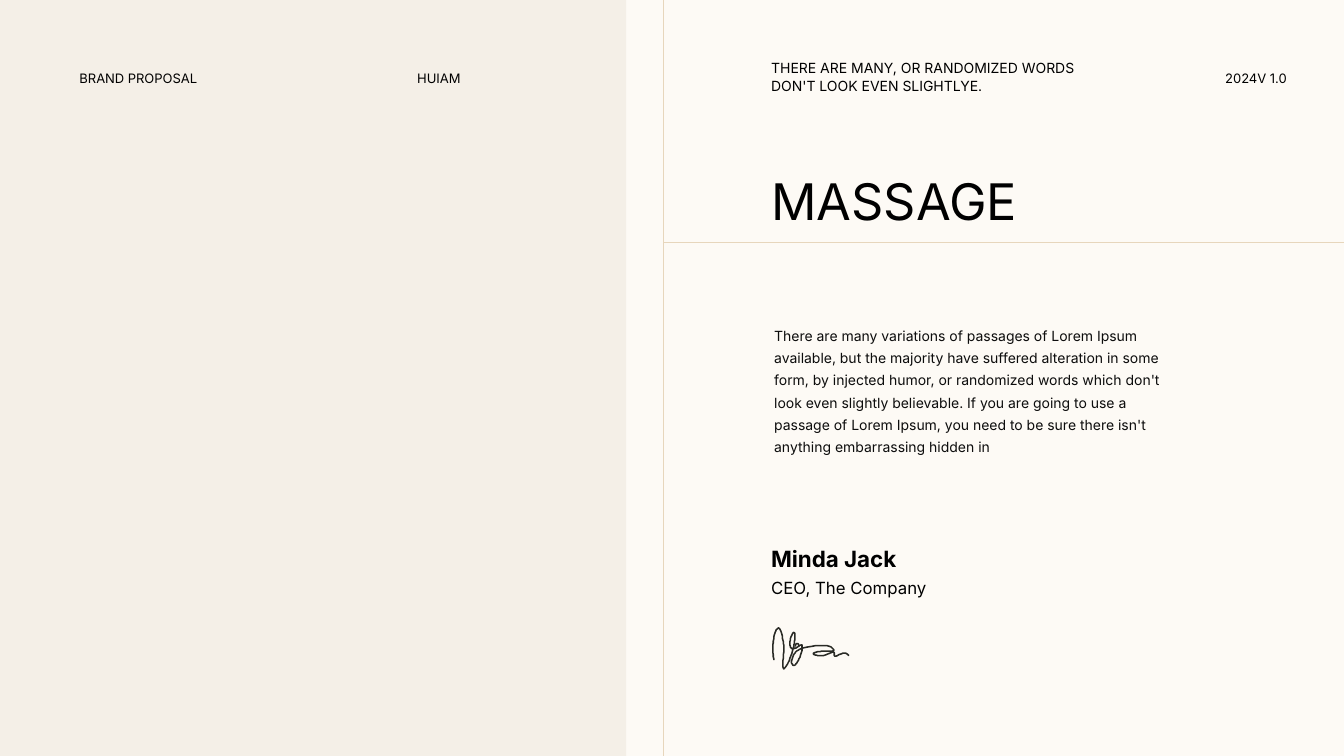
import pptx
import pptx.dml.color
import pptx.enum.shapes
import pptx.enum.text
import pptx.oxml.ns
import pptx.util
from lxml import etree

# Content
WIDTH, HEIGHT = 13.33, 7.5
FONT = "Inter"
COLORS = {"paper": "FDFAF5", "panel": "C6B7A4", "rule": "E7D6BC",
          "text": "000000", "body": "0D0D0D", "ink": "292A25"}
PANEL_OPACITY = 16

# Columns and rows, in inches
PANEL_RIGHT, RULE_X, RULE_Y = 6.21, 6.58, 2.4
TEXT_X, HEADER_Y, HEADER_H = 7.55, 0.62, 0.28

# Header labels: left, width, text, alignment
HEADERS = [
    (0.69, 1.83, "BRAND PROPOSAL", "LEFT"),
    (4.04, 1.83, "HUIAM", "LEFT"),
    (11.82, 1.04, "2024V 1.0", "RIGHT"),
]

# Text blocks: left, top, width, height, text, size, line pitch, bold, colour
BLOCKS = [
    (TEXT_X, 0.53, 3.38, 0.45,
     "THERE ARE MANY, OR RANDOMIZED WORDS DON'T LOOK EVEN SLIGHTLYE.",
     10, 13, False, "text"),
    (TEXT_X, 1.47, 2.85, 0.8, "MASSAGE", 36, 55, False, "text"),
    (7.58, 3.14, 4.25, 1.43,
     "There are many variations of passages of Lorem Ipsum available, but the "
     "majority have suffered alteration in some form, by injected humor, or "
     "randomized words which don't look even slightly believable. If you are "
     "going to use a passage of Lorem Ipsum, you need to be sure there isn't "
     "anything embarrassing hidden in", 10, 16, False, "body"),
    (TEXT_X, 5.36, 3.39, 0.37, "Minda Jack", 16, None, True, "text"),
    (TEXT_X, 5.68, 3.39, 0.3, "CEO, The Company", 12, None, False, "text"),
]

# Signature pen strokes on a fine grid
SIGNATURE_X, SIGNATURE_Y, GRID_PER_INCH = 7.66, 6.22, 200
SIGNATURE_STROKES = [
    [(3, 66), (1, 46), (2, 28), (6, 10), (12, 2), (17, 8), (21, 26), (23, 44),
     (21, 72), (23, 83), (32, 70), (40, 48), (44, 32), (45, 15), (42, 11),
     (38, 18), (35, 32), (37, 41), (42, 43), (50, 40), (56, 36), (59, 37),
     (58, 50), (52, 66), (44, 76), (38, 71), (42, 56), (50, 47), (60, 42),
     (86, 37), (112, 38), (121, 44), (119, 48), (98, 48), (82, 52), (86, 56),
     (98, 57), (112, 53), (122, 50), (124, 58), (138, 53), (146, 52), (152, 57)],
    [(46, 39), (47, 34), (51, 33), (53, 38)],
]


def color(name):
    return pptx.dml.color.RGBColor.from_string(COLORS[name])


def inches(*values):
    return [pptx.util.Inches(value) for value in values]


def add_text(left, top, width, height, text, size, pitch, bold, tint):
    frame = slide.shapes.add_textbox(*inches(left, top, width, height)).text_frame
    frame.word_wrap = True
    frame.auto_size = pptx.enum.text.MSO_AUTO_SIZE.SHAPE_TO_FIT_TEXT
    paragraph = frame.paragraphs[0]
    paragraph.text = text
    paragraph.font.name, paragraph.font.size = FONT, pptx.util.Pt(size)
    paragraph.font.bold = bold
    paragraph.font.color.rgb = color(tint)
    if pitch:
        paragraph.line_spacing = pptx.util.Pt(pitch)
    return paragraph


def add_rule(*ends):
    rule = slide.shapes.add_connector(
        pptx.enum.shapes.MSO_CONNECTOR.STRAIGHT, *inches(*ends))
    rule.line.color.rgb = color("rule")
    rule.line.width = pptx.util.Pt(0.5)
    etree.SubElement(rule.element.spPr, pptx.oxml.ns.qn("a:effectLst"))


def smooth(points, steps=5):
    """Catmull-Rom curve through the points."""
    padded = [points[0], *points, points[-1]]
    curve = []
    for a, b, c, d in zip(padded, padded[1:], padded[2:], padded[3:]):
        for step in range(steps):
            t = step / steps
            curve.append(tuple(
                q + t * (r - p) / 2 + t**2 * (2 * p - 5 * q + 4 * r - s) / 2
                + t**3 * (3 * q - p - 3 * r + s) / 2
                for p, q, r, s in zip(a, b, c, d)))
    return curve + [points[-1]]


# Slide
deck = pptx.Presentation()
deck.slide_width, deck.slide_height = inches(WIDTH, HEIGHT)
slide = deck.slides.add_slide(deck.slide_layouts[6])
slide.background.fill.solid()
slide.background.fill.fore_color.rgb = color("paper")

# Left panel
panel = slide.shapes.add_shape(
    pptx.enum.shapes.MSO_SHAPE.RECTANGLE, *inches(0, 0, PANEL_RIGHT, HEIGHT))
panel.shadow.inherit = False
panel.fill.solid()
panel.fill.fore_color.rgb = color("panel")
panel.line.fill.background()
panel_color = panel.element.spPr.find(".//" + pptx.oxml.ns.qn("a:srgbClr"))
etree.SubElement(panel_color, pptx.oxml.ns.qn("a:alpha"),
                 val=str(PANEL_OPACITY * 1000))

# Message and signatory
for block in BLOCKS:
    add_text(*block)

# Header labels, set as superscript
for left, width, text, align in HEADERS:
    label = add_text(left, HEADER_Y, width, HEADER_H, text, 16, None, False, "text")
    label.alignment = pptx.enum.text.PP_ALIGN[align]
    label.runs[0].font._element.set("baseline", "30000")

# Signature
scale = pptx.util.Inches(1) / GRID_PER_INCH
first, *others = [smooth(stroke) for stroke in SIGNATURE_STROKES]
pen = slide.shapes.build_freeform(*first[0], scale=scale)
pen.add_line_segments(first[1:], close=False)
for stroke in others:
    pen.move_to(*stroke[0])
    pen.add_line_segments(stroke[1:], close=False)
signature = pen.convert_to_shape(*inches(SIGNATURE_X, SIGNATURE_Y))
signature.shadow.inherit = False
signature.fill.background()
signature.line.color.rgb = color("ink")
signature.line.width = pptx.util.Pt(1.1)

# Dividing rules
add_rule(RULE_X, 0, RULE_X, HEIGHT)
add_rule(WIDTH, RULE_Y, RULE_X, RULE_Y)

deck.save("out.pptx")
